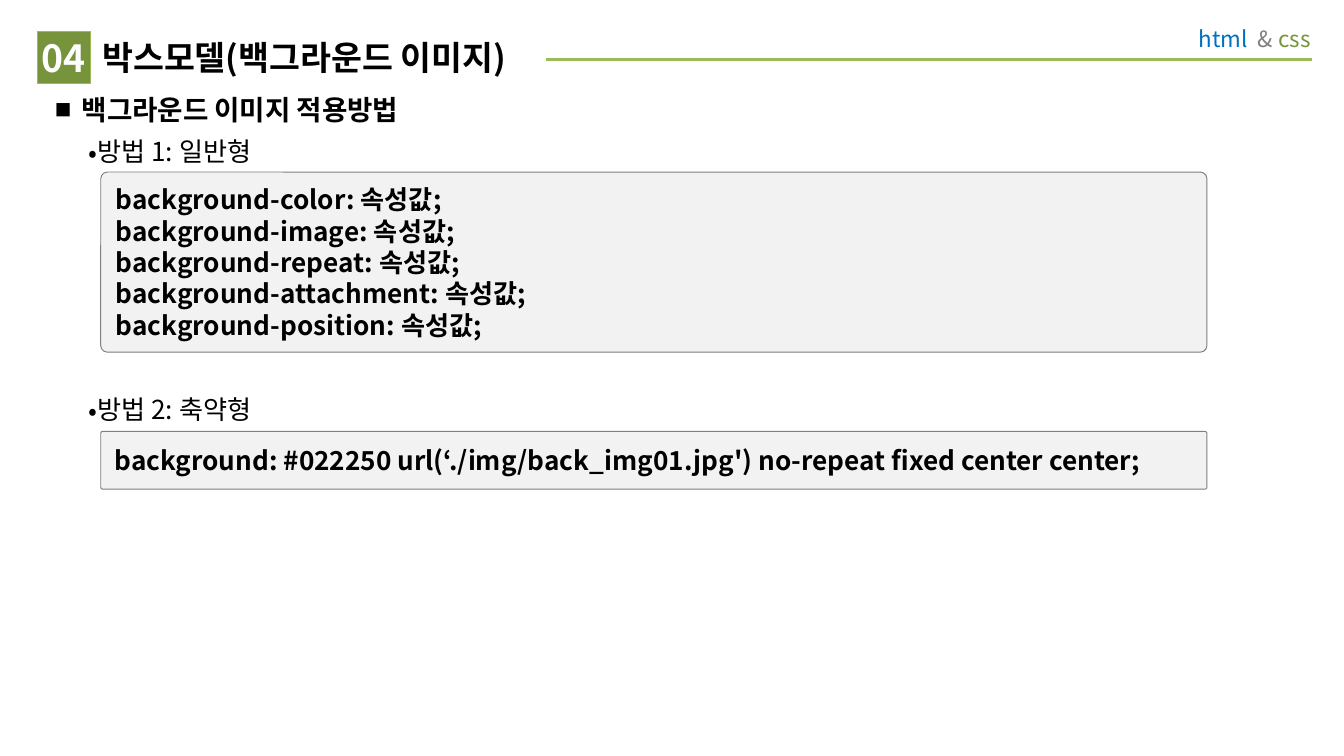
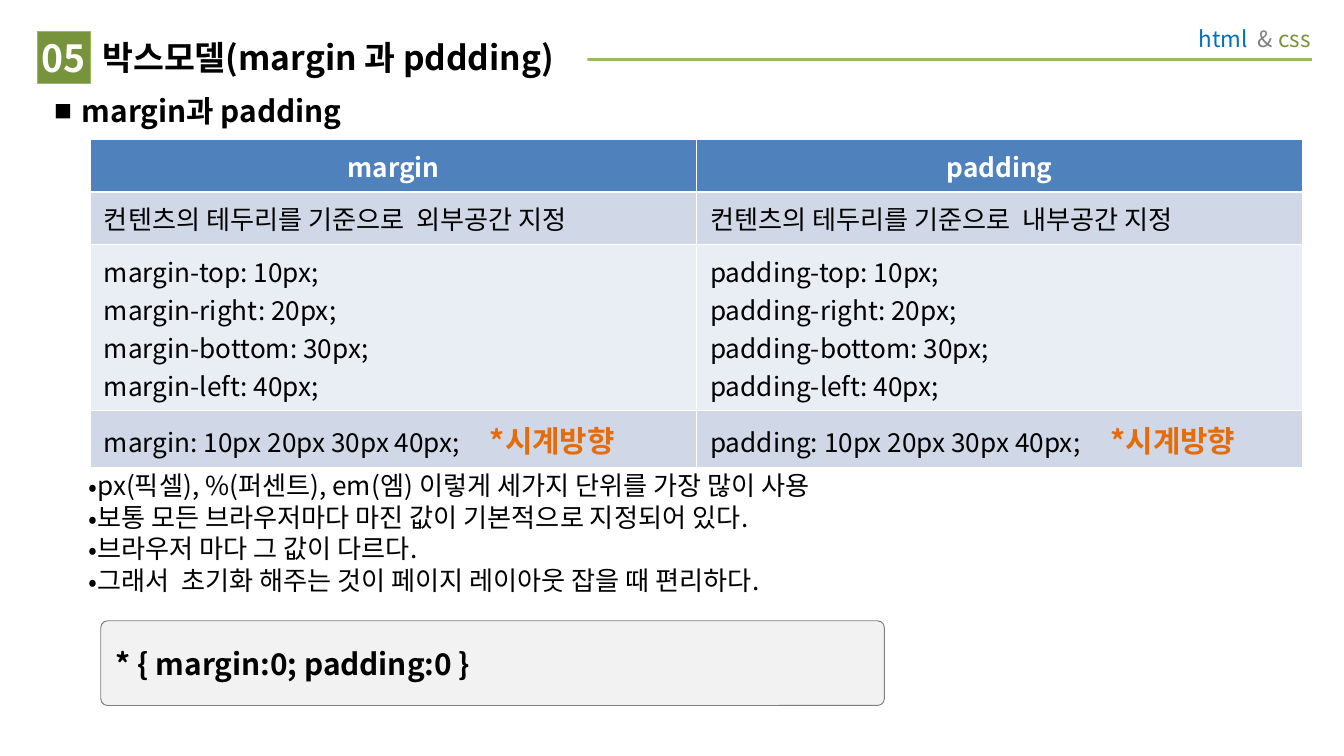
from dataclasses import dataclass

from lxml import etree
from pptx import Presentation
from pptx.dml.color import RGBColor
from pptx.enum.shapes import MSO_CONNECTOR, MSO_SHAPE
from pptx.enum.text import MSO_ANCHOR, PP_ALIGN
from pptx.oxml.ns import qn
from pptx.util import Pt

LEFT, CENTER, RIGHT = PP_ALIGN.LEFT, PP_ALIGN.CENTER, PP_ALIGN.RIGHT
TOP, MIDDLE = MSO_ANCHOR.TOP, MSO_ANCHOR.MIDDLE
RECT, ROUND_RECT = MSO_SHAPE.RECTANGLE, MSO_SHAPE.ROUNDED_RECTANGLE
STRAIGHT = MSO_CONNECTOR.STRAIGHT


@dataclass(frozen=True)
class Theme:
    font: str = "Noto Sans CJK KR"
    black: str = "000000"
    white: str = "FFFFFF"
    gray: str = "7F7F7F"
    blue: str = "0070C0"
    green: str = "77933C"
    rule: str = "9BBB59"
    orange: str = "E46C0A"
    code_fill: str = "F2F2F2"
    table_head: str = "4F81BD"
    bands: tuple = ("D0D8E8", "E9EDF4")
    tag: float = 12
    body: float = 14
    heading: float = 16
    title: float = 18
    badge: float = 20


def rgb(color):
    return RGBColor.from_string(color)


def assign(target, values):
    for name, value in values.items():
        setattr(target, name, value)


class Deck:
    def __init__(self, theme):
        self.theme = theme
        self.prs = Presentation()
        assign(self.prs, {"slide_width": Pt(720), "slide_height": Pt(405)})
        self.s = None

    def run(self, p, text, size=None, color=None, bold=False):
        t = self.theme
        r = p.add_run()
        r.text = text
        assign(r.font, {"name": t.font, "size": Pt(size or t.body), "bold": bold})
        r.font.color.rgb = rgb(color or t.black)
        ea = etree.SubElement(r.font._element, qn("a:ea"))
        ea.set("typeface", t.font)

    def fill_text(self, tf, paragraphs, align=LEFT, spacing=None, bullet=None, tab=None):
        for i, runs in enumerate(paragraphs):
            p = tf.paragraphs[0] if i == 0 else tf.add_paragraph()
            if bullet:
                self.bullet(p, *bullet)
            if tab:
                tabs = etree.SubElement(p._p.get_or_add_pPr(), qn("a:tabLst"))
                stop = etree.SubElement(tabs, qn("a:tab"))
                stop.set("pos", str(Pt(tab)))
                stop.set("algn", "l")
            assign(p, {"alignment": align, "line_spacing": spacing})
            for run in runs:
                self.run(p, *run)

    def bullet(self, p, char, margin, indent, percent):
        pPr = p._p.get_or_add_pPr()
        pPr.set("marL", str(Pt(margin)))
        pPr.set("indent", str(Pt(indent)))
        color = etree.SubElement(pPr, qn("a:buClr"))
        etree.SubElement(color, qn("a:srgbClr")).set("val", self.theme.black)
        etree.SubElement(pPr, qn("a:buSzPct")).set("val", str(percent * 1000))
        etree.SubElement(pPr, qn("a:buFont")).set("typeface", self.theme.font)
        etree.SubElement(pPr, qn("a:buChar")).set("char", char)

    def frame(self, tf, insets, anchor):
        names = ("margin_left", "margin_top", "margin_right", "margin_bottom")
        assign(tf, dict(zip(names, map(Pt, insets))))
        assign(tf, {"word_wrap": True, "vertical_anchor": anchor})

    def text(self, box, paragraphs, insets=(7.2, 3.6, 7.2, 3.6), **style):
        sp = self.s.shapes.add_textbox(*map(Pt, box))
        self.frame(sp.text_frame, insets, TOP)
        self.fill_text(sp.text_frame, paragraphs, **style)

    def shape(self, kind, box, fill, paragraphs, line=None, radius=None,
              insets=(7.2, 3.6, 7.2, 3.6), anchor=MIDDLE, **style):
        sp = self.s.shapes.add_shape(kind, *map(Pt, box))
        sp.shadow.inherit = False
        sp.fill.solid()
        sp.fill.fore_color.rgb = rgb(fill)
        if line:
            sp.line.color.rgb = rgb(line[0])
            sp.line.width = Pt(line[1])
        else:
            sp.line.fill.background()
        if radius is not None:
            sp.adjustments[0] = radius
        self.frame(sp.text_frame, insets, anchor)
        self.fill_text(sp.text_frame, paragraphs, **style)

    def rule(self, x1, x2, y):
        c = self.s.shapes.add_connector(STRAIGHT, Pt(x1), Pt(y), Pt(x2), Pt(y))
        c.line.color.rgb = rgb(self.theme.rule)
        c.line.width = Pt(1.5)
        etree.SubElement(c._element.spPr, qn("a:effectLst"))

    def slide(self, number, title, title_width, heading, heading_size, heading_height):
        t = self.theme
        self.s = self.prs.slides.add_slide(self.prs.slide_layouts[6])
        self.rule(702.7, 51.1, 31.7)
        tag = [("html  ", t.tag, t.blue), ("& ", t.tag, t.gray), ("css", t.tag, t.green)]
        self.text((598.3, 7.9, 110.9, 25.9), [tag], insets=(7.2, 5.76, 7.2, 5.76),
                  align=RIGHT)
        self.shape(RECT, (49, 16.6, title_width, 28.1), t.white,
                   [[(title, t.title, t.black, True)]], insets=(5.76, 2.88, 0, 2.88),
                   anchor=TOP)
        self.shape(RECT, (20.2, 16.6, 28.1, 28.1), t.green,
                   [[(number, t.badge, t.white, True)]], line=(t.rule, 0.25),
                   insets=(0, 0, 0, 0), align=CENTER)
        self.text((22.3, 46.1, 680.4, heading_height),
                  [[(heading, heading_size, t.black, True)]],
                  bullet=("■", 14.4, -14.4, 60))

    def bullets(self, top, height, lines):
        self.text((22.3, top, 680.4, height), [[(line,)] for line in lines],
                  bullet=("•", 20.9, -2.9, 100))

    def code(self, top, width, height, radius, lines, size, spacing=None):
        t = self.theme
        self.shape(ROUND_RECT, (54, top, width, height), t.code_fill,
                   [[(line, size, t.black, True)] for line in lines],
                   line=(t.gray, 0.5), radius=radius, spacing=spacing)

    def border(self, cell, side, width):
        ln = etree.SubElement(cell._tc.get_or_add_tcPr(), qn("a:" + side))
        ln.set("w", str(Pt(width)))
        fill = etree.SubElement(ln, qn("a:solidFill"))
        etree.SubElement(fill, qn("a:srgbClr")).set("val", self.theme.white)

    def table(self, left, top, width, heights, rows, tabs):
        t = self.theme
        box = (left, top, width, sum(heights))
        table = self.s.shapes.add_table(len(rows), len(rows[0]), *map(Pt, box)).table
        table.horz_banding = False
        for i, (height, row) in enumerate(zip(heights, rows)):
            table.rows[i].height = Pt(height)
            for j, paragraphs in enumerate(row):
                cell = table.cell(i, j)
                cell.vertical_anchor = MIDDLE
                for side, line in (("lnL", 0.45), ("lnR", 0.45),
                                   ("lnT", 1.47 if i == 1 else 0.45),
                                   ("lnB", 1.47 if i == 0 else 0.45)):
                    self.border(cell, side, line)
                cell.fill.solid()
                cell.fill.fore_color.rgb = rgb(t.bands[(i - 1) % 2] if i else t.table_head)
                tab = tabs[j] if i == len(rows) - 1 else None
                self.fill_text(cell.text_frame, paragraphs, tab=tab,
                               align=LEFT if i else CENTER)


def background_slide(deck):
    t = deck.theme
    deck.slide("04", "박스모델(백그라운드 이미지)", 243.4,
               "백그라운드 이미지 적용방법", 14.8, 25.9)
    properties = ("color", "image", "repeat", "attachment", "position")
    deck.code(92.2, 592.6, 96.5, 0.037,
              [f"background-{name}: 속성값;" for name in properties], t.body, Pt(16.75))
    deck.bullets(69.1, 23, ["방법 1: 일반형"])
    deck.code(231.1, 592.6, 31, 0.037,
              ["background: #022250 url(‘./img/back_img01.jpg') "
               "no-repeat fixed center center;"], t.body)
    deck.bullets(207.4, 23, ["방법 2: 축약형"])


def spacing_slide(deck):
    t = deck.theme
    deck.slide("05", "박스모델(margin 과 pddding)", 265.7,
               "margin과 padding", t.heading, 37.4)
    names = ("margin", "padding")
    sides = (("top", 10), ("right", 20), ("bottom", 30), ("left", 40))
    rows = [
        [[[(name, t.body, t.white, True)]] for name in names],
        [[[(f"컨텐츠의 테두리를 기준으로  {area}공간 지정",)]] for area in ("외부", "내부")],
        [[[(f"{name}-{side}: {px}px;",)] for side, px in sides] for name in names],
        [[[(f"{name}: 10px 20px 30px 40px;\t",),
           ("*시계방향", t.heading, t.orange, True)]] for name in names],
    ]
    deck.table(48.5, 74.9, 649.4, (28.1, 28.1, 89, 30.4), rows, (206.8, 214.6))
    deck.bullets(248.2, 88.6, [
        "px(픽셀), %(퍼센트), em(엠) 이렇게 세가지 단위를 가장 많이 사용",
        "보통 모든 브라우저마다 마진 값이 기본적으로 지정되어 있다.",
        "브라우저 마다 그 값이 다르다.",
        "그래서  초기화 해주는 것이 페이지 레이아웃 잡을 때 편리하다.",
    ])
    deck.code(332.6, 419.8, 45.4, 0.082, ["* { margin:0; padding:0 }"], t.heading)


def main():
    deck = Deck(Theme())
    background_slide(deck)
    spacing_slide(deck)
    deck.prs.save("out.pptx")


if __name__ == "__main__":
    main()
